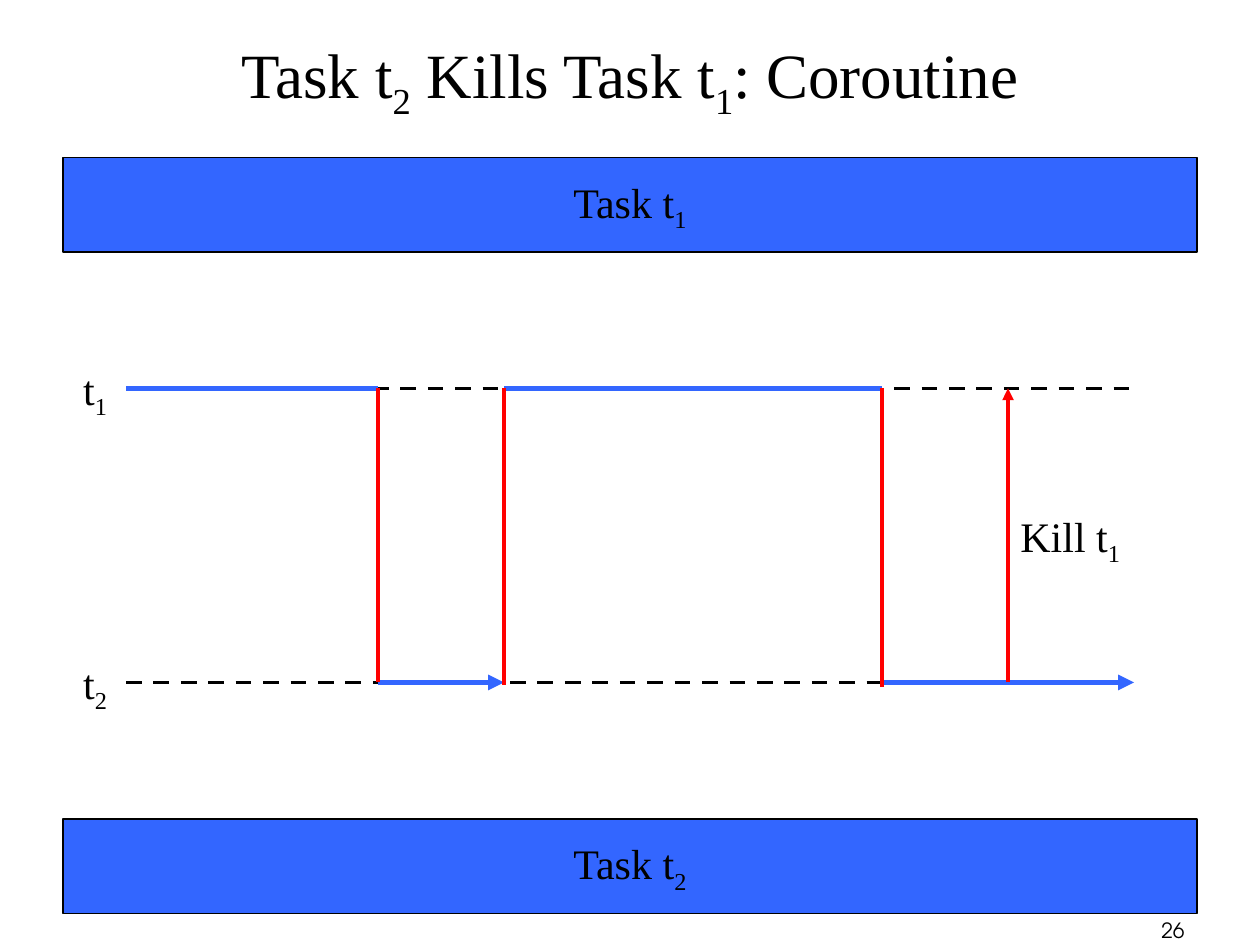
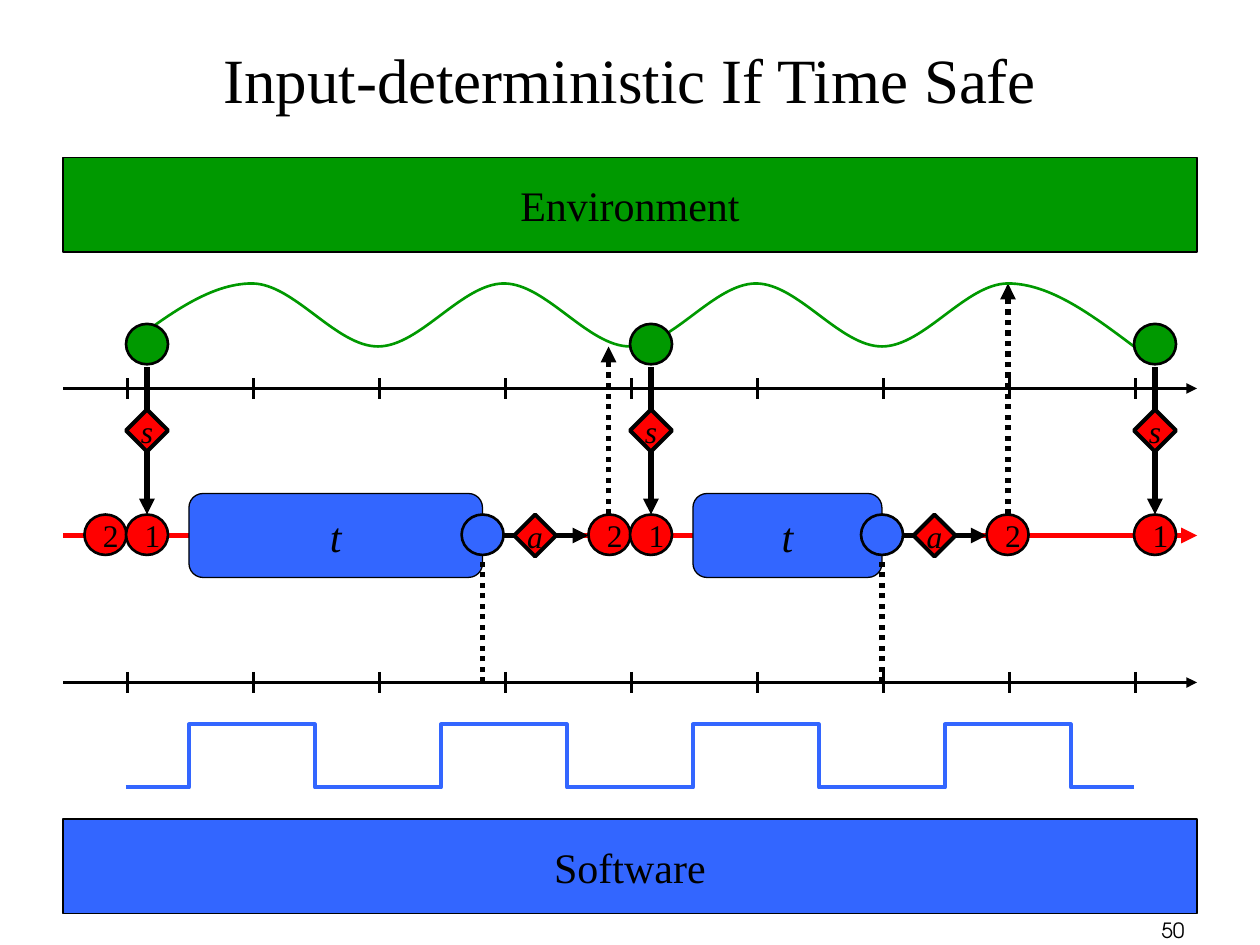
from lxml import etree
from pptx import Presentation
from pptx.dml.color import RGBColor
from pptx.enum.dml import MSO_LINE
from pptx.enum.shapes import MSO_CONNECTOR, MSO_SHAPE
from pptx.enum.text import MSO_ANCHOR, PP_ALIGN
from pptx.oxml.ns import qn
from pptx.util import Inches, Pt

BLACK = RGBColor(0x00, 0x00, 0x00)
BLUE = RGBColor(0x33, 0x66, 0xFF)
GREEN = RGBColor(0x00, 0x99, 0x00)
RED = RGBColor(0xFF, 0x00, 0x00)
SERIF = "Times New Roman"
SANS = "TeX Gyre Adventor"

deck = Presentation()
deck.slide_width, deck.slide_height = Inches(10), Inches(7.5)

# Grid: 10 columns by 90 rows
COLUMN = deck.slide_width / 10
ROW = deck.slide_height / 90
UPPER, LOWER = 37, 65  # rows of the two time lines
MARK = 1 / 3  # width of a circle or diamond in columns
CIRCLE_ROWS, DIAMOND_ROWS = 3.85, 4


def add_box(page, kind, place, text="", fill=None, border=0.75, size=24,
            font=SERIF, align=PP_ALIGN.CENTER, anchor=MSO_ANCHOR.MIDDLE,
            italic=False, wrap=False):
    """Add a shape, or a text box if kind is None; text between bars is subscript."""
    left, top, width, height = place
    area = [round(v) for v in (left * COLUMN, top * ROW, width * COLUMN, height * ROW)]
    if kind is None:
        box = page.shapes.add_textbox(*area)
    else:
        box = page.shapes.add_shape(kind, *area)
        box.shadow.inherit = False
        box.fill.solid()
        box.fill.fore_color.rgb = fill
        box.line.color.rgb = BLACK
        box.line.width = Pt(border)
    frame = box.text_frame
    frame.word_wrap = wrap
    frame.vertical_anchor = anchor
    para = frame.paragraphs[0]
    para.alignment = align
    for index, piece in enumerate(text.split("|")):
        if not piece:
            continue
        span = para.add_run()
        span.text = piece
        span.font.name, span.font.size = font, Pt(size)
        span.font.italic = italic
        span.font.color.rgb = BLACK
        if index % 2:
            span.font._element.set("baseline", "-25000")
    return box


def add_line(shapes, start, end, color, width, dash=None, arrow=False):
    """Add a straight line between two (column, row) points."""
    ends = [round(v) for x, y in (start, end) for v in (x * COLUMN, y * ROW)]
    line = shapes.add_connector(MSO_CONNECTOR.STRAIGHT, *ends)
    line.line.color.rgb = color
    line.line.width = Pt(width)
    if dash:
        line.line.dash_style = dash
    properties = line._element.spPr
    if arrow:
        outline = properties.find(qn("a:ln"))
        etree.SubElement(outline, qn("a:tailEnd")).set("type", "triangle")
    etree.SubElement(properties, qn("a:effectLst"))


# Shared frame: title, two bands and page number
pages = []
for title, upper_band, upper_fill, lower_band, number in (
    ("Task t|2| Kills Task t|1|: Coroutine", "Task t|1|", BLUE, "Task t|2|", "26"),
    ("Input-deterministic If Time Safe", "Environment", GREEN, "Software", "50"),
):
    page = deck.slides.add_slide(deck.slide_layouts[6])
    add_box(page, None, (0.5, 0, 9, 15), title, size=36, wrap=True)
    add_box(page, MSO_SHAPE.RECTANGLE, (0.5, 15, 9, 9), upper_band, upper_fill)
    add_box(page, MSO_SHAPE.RECTANGLE, (0.5, 78, 9, 9), lower_band, BLUE)
    add_box(page, None, (7.42, 86.75, 2.08, 3), number, size=12, font=SANS,
            align=PP_ALIGN.RIGHT, anchor=MSO_ANCHOR.TOP, wrap=True)
    pages.append(page)
coroutine, time_safe = pages

# Coroutine: waiting (dashed) and running (blue) stretches of each task
for row in (LOWER, UPPER):
    add_line(coroutine.shapes, (1, row), (9, row), BLACK, 2.25, MSO_LINE.DASH)
for first, last, row in ((1, 3, UPPER), (3, 4, LOWER), (4, 7, UPPER), (7, 9, LOWER)):
    add_line(coroutine.shapes, (first, row), (last, row), BLUE, 3, arrow=row == LOWER)

# Coroutine: switches of control and the kill
for column, bottom in ((3, LOWER), (4, 65.25), (7, 65.4)):
    add_line(coroutine.shapes, (column, UPPER), (column, bottom), RED, 2.25)
add_line(coroutine.shapes, (8, LOWER), (8, UPPER), RED, 2.25, arrow=True)
for label, left, top, width, align in (
    ("t|1|", 0.56, UPPER - 3, 0.39, PP_ALIGN.CENTER),
    ("t|2|", 0.56, LOWER - 3, 0.39, PP_ALIGN.CENTER),
    ("Kill t|1|", 8, 48, 0.99, PP_ALIGN.LEFT),
):
    add_box(coroutine, None, (left, top, width, 6.75), label,
            align=align, anchor=MSO_ANCHOR.TOP)

# Time safe: outputs to the environment and the software's line
for column, top in ((4.83, 33), (8, 27)):
    add_line(time_safe.shapes, (column, 49), (column, top), BLACK, 3,
             MSO_LINE.ROUND_DOT, arrow=True)
add_line(time_safe.shapes, (0.5, 51), (9.5, 51), RED, 3, arrow=True)

# Time safe: two time axes with ticks
for row in (UPPER, LOWER):
    axis = time_safe.shapes.add_group_shape().shapes
    add_line(axis, (0.5, row), (9.5, row), BLACK, 2, arrow=True)
    for tick in range(1, 10):
        add_line(axis, (tick + 0.01, row - 1), (tick + 0.01, row + 1), BLACK, 1.5)

# Time safe: control points of the wave, corners of the clock signal
wave = [(1, 33)]
for x in range(1, 9):
    here, there = (33, 27) if x % 2 else (27, 33)
    wave += [(x + 1 / 3, 30 if x == 1 else here),
             (x + 2 / 3, 30 if x == 8 else there), (x + 1, there)]
clock = [(1, 75)]
for x in range(8):
    before, after = (69, 75) if x % 2 else (75, 69)
    clock += [(x + 1.5, before), (x + 1.5, after)]
clock.append((9, 75))
for points, color, width in ((wave, GREEN, 1.5), (clock, BLUE, 2.25)):
    places = [(round(x * COLUMN), round(y * ROW)) for x, y in points]
    builder = time_safe.shapes.build_freeform(*places[0])
    builder.add_line_segments(places[1:], close=False)
    signal = builder.convert_to_shape()
    signal.shadow.inherit = False
    signal.fill.background()
    signal.line.color.rgb = color
    signal.line.width = Pt(width)
    if points is wave:  # every three line segments become one curve
        steps = list(signal._element.iter(qn("a:lnTo")))
        for index in range(0, len(steps), 3):
            curve = etree.Element(qn("a:cubicBezTo"))
            steps[index].addprevious(curve)
            for step in steps[index:index + 3]:
                curve.append(step[0])
                step.getparent().remove(step)

# Time safe: tasks, their completion and the following actuation
for left, right, next_circle in ((1.5, 3.83, 4.67), (5.5, 7, 7.83)):
    add_box(time_safe, MSO_SHAPE.FLOWCHART_ALTERNATE_PROCESS,
            (left, 47, right - left, 8), "t", BLUE, italic=True)
    add_box(time_safe, MSO_SHAPE.OVAL,
            (right - MARK / 2, 49, MARK, CIRCLE_ROWS), fill=BLUE, border=1.5)
    add_line(time_safe.shapes, (right, LOWER), (right, 53), BLACK, 3, MSO_LINE.ROUND_DOT)
    add_line(time_safe.shapes, (right + MARK / 2, 51), (next_circle, 51), BLACK, 3,
             arrow=True)
    add_box(time_safe, MSO_SHAPE.DIAMOND, (right + 0.25, 49, MARK, DIAMOND_ROWS),
            "a", RED, 2.25, 18, italic=True)

# Time safe: sensing, from environment to software
for left in (1, 5, 9):
    middle = left + MARK / 2
    add_box(time_safe, MSO_SHAPE.OVAL, (left, 30.85, MARK, CIRCLE_ROWS),
            fill=GREEN, border=1.5)
    add_line(time_safe.shapes, (middle, 35), (middle, 49), BLACK, 3, arrow=True)
    add_box(time_safe, MSO_SHAPE.DIAMOND, (left, 39, MARK, DIAMOND_ROWS),
            "s", RED, 2.25, 18, italic=True)

# Time safe: numbered software events
for label, left in (("2", 0.67), ("1", 1), ("2", 4.67), ("1", 5), ("2", 7.83), ("1", 9)):
    add_box(time_safe, MSO_SHAPE.OVAL, (left, 49, MARK, CIRCLE_ROWS), label, RED,
            1.5, 18, align=PP_ALIGN.LEFT)

deck.save("out.pptx")
